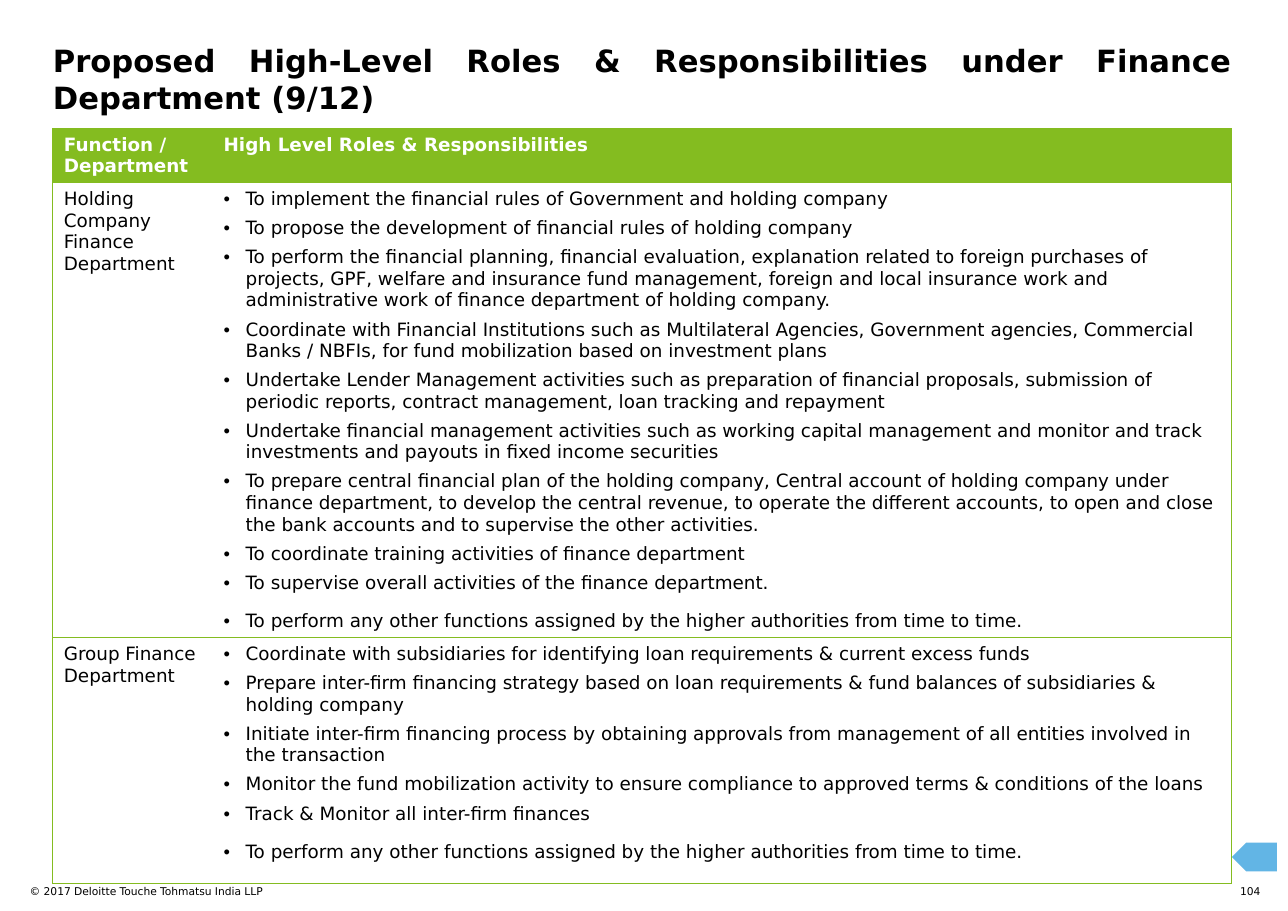
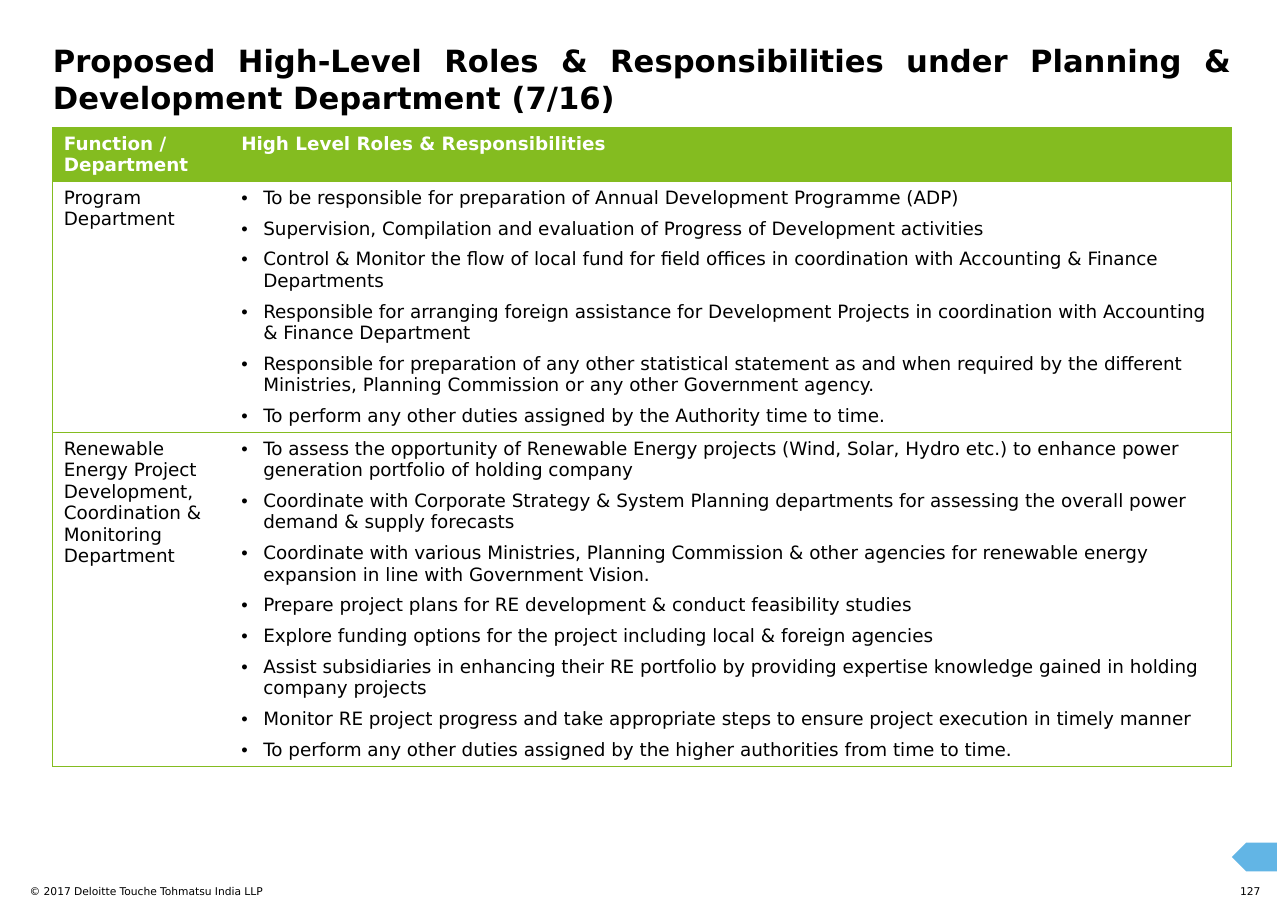
import dataclasses

import pptx
import pptx.dml.color
import pptx.enum.shapes
import pptx.enum.text
import pptx.oxml
import pptx.oxml.ns
import pptx.util
from pptx.util import Inches

FONT = "DejaVu Sans"
GREEN, BLUE, BLACK, WHITE = "84BC20", "62B5E5", "000000", "FFFFFF"
COPYRIGHT = "© 2017 Deloitte Touche Tohmatsu India LLP"
HEADINGS = ("Function / Department", "High Level Roles & Responsibilities")
LEFT, WIDTH = 0.48, 10.7
ALIGN = pptx.enum.text.PP_ALIGN


@dataclasses.dataclass
class Department:
    name: str
    height: float
    duties: list[str]


@dataclasses.dataclass
class RolesPage:
    title: str
    number: int
    table_top: float
    name_width: float
    header_height: float
    duty_gap: float
    last_duty_gap: float
    departments: list[Department]


PAGES = [
    RolesPage(
        "Proposed High-Level Roles & Responsibilities under Finance Department (9/12)",
        104, 1.17, 1.45, 0.49, 5, 11,
        [
            Department("Holding Company Finance Department", 4.13, [
                "To implement the financial rules of Government and holding company",
                "To propose the development of financial rules of holding company",
                "To perform the financial planning, financial evaluation, explanation related to "
                "foreign purchases of projects, GPF, welfare and insurance fund management, "
                "foreign and local insurance work and administrative work of finance department "
                "of holding company.",
                "Coordinate with Financial Institutions such as Multilateral Agencies, Government "
                "agencies, Commercial Banks / NBFIs, for fund mobilization based on investment plans",
                "Undertake Lender Management activities such as preparation of financial proposals, "
                "submission of periodic reports, contract management, loan tracking and repayment",
                "Undertake financial management activities such as working capital management and "
                "monitor and track investments and payouts in fixed income securities",
                "To prepare central financial plan of the holding company, Central account of "
                "holding company under finance department, to develop the central revenue, to "
                "operate the different accounts, to open and close the bank accounts and to "
                "supervise the other activities.",
                "To coordinate training activities of finance department",
                "To supervise overall activities of the finance department.",
                "To perform any other functions assigned by the higher authorities from time to time.",
            ]),
            Department("Group Finance Department", 2.23, [
                "Coordinate with subsidiaries for identifying loan requirements & current excess funds",
                "Prepare inter-firm financing strategy based on loan requirements & fund balances "
                "of subsidiaries & holding company",
                "Initiate inter-firm financing process by obtaining approvals from management of "
                "all entities involved in the transaction",
                "Monitor the fund mobilization activity to ensure compliance to approved terms & "
                "conditions of the loans",
                "Track & Monitor all inter-firm finances",
                "To perform any other functions assigned by the higher authorities from time to time.",
            ]),
        ],
    ),
    RolesPage(
        "Proposed High-Level Roles & Responsibilities under Planning & Development "
        "Department (7/16)",
        127, 1.16, 1.61, 0.49, 6, 6,
        [
            Department("Program Department", 2.27, [
                "To be responsible for preparation of Annual Development Programme (ADP)",
                "Supervision, Compilation and evaluation of Progress of Development activities",
                "Control & Monitor the flow of local fund for field offices in coordination with "
                "Accounting & Finance Departments",
                "Responsible for arranging foreign assistance for Development Projects in "
                "coordination with Accounting & Finance Department",
                "Responsible for preparation of any other statistical statement as and when required "
                "by the different Ministries, Planning Commission or any other Government agency.",
                "To perform any other duties assigned by the Authority time to time.",
            ]),
            Department("Renewable Energy Project Development, Coordination & Monitoring Department", 3.03, [
                "To assess the opportunity of Renewable Energy projects (Wind, Solar, Hydro etc.) "
                "to enhance power generation portfolio of holding company",
                "Coordinate with Corporate Strategy & System Planning departments for assessing "
                "the overall power demand & supply forecasts",
                "Coordinate with various Ministries, Planning Commission & other agencies for "
                "renewable energy expansion in line with Government Vision.",
                "Prepare project plans for RE development & conduct feasibility studies",
                "Explore funding options for the project including local & foreign agencies",
                "Assist subsidiaries in enhancing their RE portfolio by providing expertise "
                "knowledge gained in holding company projects",
                "Monitor RE project progress and take appropriate steps to ensure project "
                "execution in timely manner",
                "To perform any other duties assigned by the higher authorities from time to time.",
            ]),
        ],
    ),
]


def colour(value: str) -> pptx.dml.color.RGBColor:
    return pptx.dml.color.RGBColor.from_string(value)


def style(para, size: float, text_colour: str = BLACK, bold: bool = False,
          align=ALIGN.LEFT) -> None:
    para.alignment = align
    para.font.name = FONT
    para.font.size = pptx.util.Pt(size)
    para.font.bold = bold
    para.font.color.rgb = colour(text_colour)


def clear_frame(frame) -> None:
    """Wrap the text at the top of a box without insets."""
    frame.word_wrap = True
    frame.auto_size = pptx.enum.text.MSO_AUTO_SIZE.NONE
    frame.vertical_anchor = pptx.enum.text.MSO_ANCHOR.TOP
    frame.margin_left = frame.margin_top = frame.margin_right = frame.margin_bottom = 0


def add_label(page, left: float, width: float, text: str, align) -> None:
    box = page.shapes.add_textbox(Inches(left), Inches(8.03), Inches(width), Inches(0.12))
    clear_frame(box.text_frame)
    para = box.text_frame.paragraphs[0]
    para.text = text
    style(para, 7, align=align)


def add_frame(page, title: str, number: int) -> None:
    """Title, footer and side marker shared by all pages."""
    heading = page.shapes.title
    heading.left, heading.top = Inches(LEFT), Inches(0.38)
    heading.width, heading.height = Inches(WIDTH), Inches(0.4)
    clear_frame(heading.text_frame)
    para = heading.text_frame.paragraphs[0]
    para.text = title
    style(para, 20, bold=True, align=ALIGN.JUSTIFY)

    add_label(page, 0.27, 5.13, COPYRIGHT, ALIGN.LEFT)
    add_label(page, 11.14, 0.3, str(number), ALIGN.RIGHT)

    marker = page.shapes.add_shape(pptx.enum.shapes.MSO_SHAPE.PENTAGON, Inches(LEFT + WIDTH),
                                   Inches(7.65), Inches(0.41), Inches(0.26))
    marker.rotation = 180
    marker.shadow.inherit = False
    marker.fill.solid()
    marker.fill.fore_color.rgb = colour(BLUE)
    marker.line.fill.background()


def set_borders(cell, visible: str) -> None:
    """Draw the named sides (of L, R, T, B) in green and hide the others."""
    properties = cell._tc.get_or_add_tcPr()
    for index, side in enumerate("LRTB"):
        fill = f'<a:solidFill><a:srgbClr val="{GREEN}"/></a:solidFill>'
        if side not in visible:
            fill = "<a:noFill/>"
        properties.insert(index, pptx.oxml.parse_xml(
            f'<a:ln{side} {pptx.oxml.ns.nsdecls("a")} w="9525">{fill}</a:ln{side}>'))


def set_bullet(para) -> None:
    properties = para._p.get_or_add_pPr()
    properties.set("marL", str(Inches(0.2)))
    properties.set("indent", str(-Inches(0.2)))
    properties.append(pptx.oxml.parse_xml(
        f'<a:buFont {pptx.oxml.ns.nsdecls("a")} typeface="Arial"/>'))
    properties.append(pptx.oxml.parse_xml(
        f'<a:buChar {pptx.oxml.ns.nsdecls("a")} char="•"/>'))


def fill_duties(frame, duties: list[str], gap: float, last_gap: float) -> None:
    for index, duty in enumerate(duties):
        para = frame.add_paragraph() if index else frame.paragraphs[0]
        para.text = duty
        set_bullet(para)
        if index:
            is_last = index == len(duties) - 1
            para.space_before = pptx.util.Pt(last_gap if is_last else gap)
        style(para, 12)


def add_roles_table(page, content: RolesPage) -> None:
    heights = [content.header_height] + [item.height for item in content.departments]
    table = page.shapes.add_table(len(heights), 2, Inches(LEFT), Inches(content.table_top),
                                  Inches(WIDTH), Inches(sum(heights))).table
    table.first_row = table.horz_banding = False
    table.columns[0].width = Inches(content.name_width)
    table.columns[1].width = Inches(WIDTH - content.name_width)
    for row, height in zip(table.rows, heights):
        row.height = Inches(height)

    # Header row
    for column, heading in enumerate(HEADINGS):
        cell = table.cell(0, column)
        cell.fill.solid()
        cell.fill.fore_color.rgb = colour(GREEN)
        para = cell.text_frame.paragraphs[0]
        para.text = heading
        style(para, 12, WHITE, bold=True)
        set_borders(cell, "LTB" if column == 0 else "RTB")

    # Department rows
    for row_index, department in enumerate(content.departments, 1):
        name_cell, duty_cell = table.cell(row_index, 0), table.cell(row_index, 1)
        para = name_cell.text_frame.paragraphs[0]
        para.text = department.name
        style(para, 12)
        fill_duties(duty_cell.text_frame, department.duties,
                    content.duty_gap, content.last_duty_gap)
        for cell, sides in ((name_cell, "LTB"), (duty_cell, "RTB")):
            cell.fill.background()
            set_borders(cell, sides)


def main() -> None:
    deck = pptx.Presentation()
    deck.slide_width, deck.slide_height = Inches(11.69), Inches(8.27)
    for content in PAGES:
        page = deck.slides.add_slide(deck.slide_layouts[5])
        add_roles_table(page, content)
        add_frame(page, content.title, content.number)
    deck.save("out.pptx")


if __name__ == "__main__":
    main()
